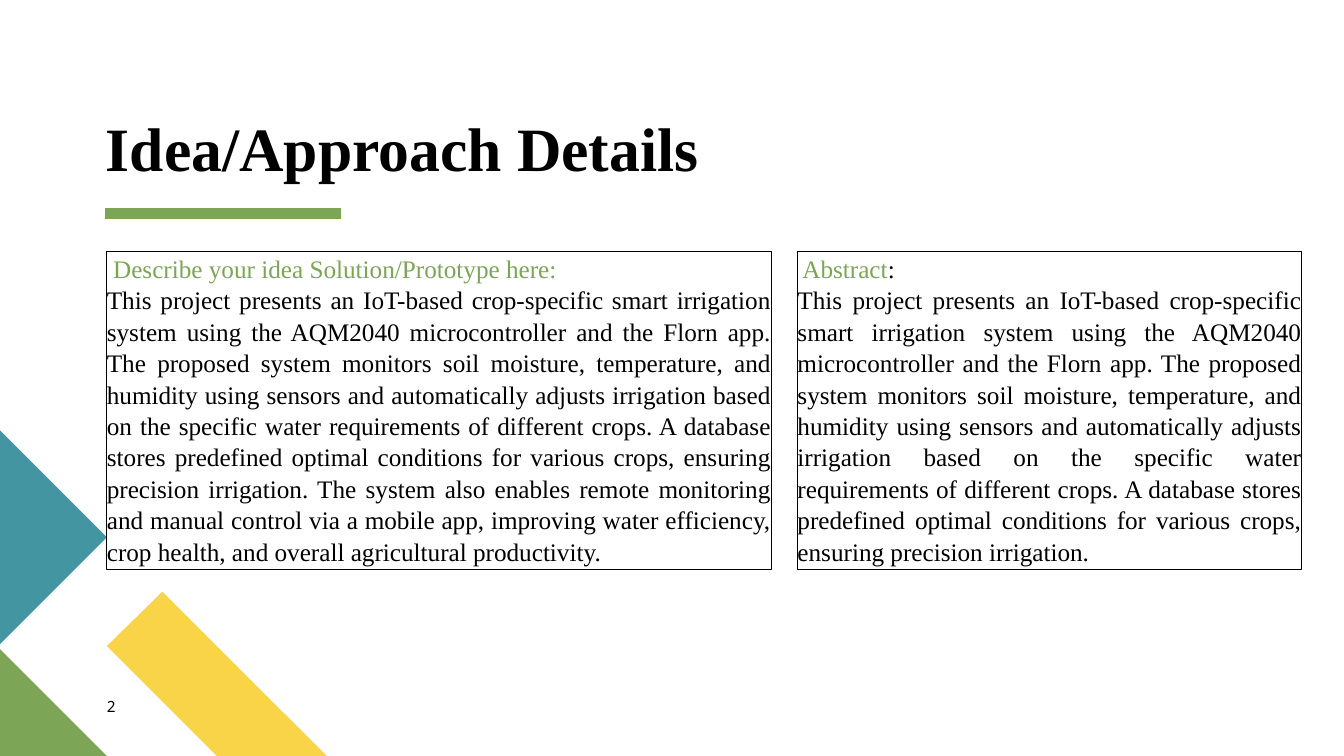
import pptx
import pptx.util
import pptx.dml.color
import pptx.enum.shapes
import pptx.enum.text
import pptx.oxml.ns
import lxml.etree

WIDTH = pptx.util.Inches(13.33)
HEIGHT = pptx.util.Inches(7.5)

GREEN, TEAL, YELLOW, BLACK = "7CA655", "4495A2", "F9D448", "000000"
SERIF = "Times New Roman"
MARGIN = 7.95  # left edge of the content, in percent of the width

SUMMARY = (
    "This project presents an IoT-based crop-specific smart irrigation system using "
    "the AQM2040 microcontroller and the Florn app. The proposed system monitors soil "
    "moisture, temperature, and humidity using sensors and automatically adjusts "
    "irrigation based on the specific water requirements of different crops. A database "
    "stores predefined optimal conditions for various crops, ensuring precision irrigation"
)
REMOTE_CONTROL = (
    ". The system also enables remote monitoring and manual control via a mobile app, "
    "improving water efficiency, crop health, and overall agricultural productivity."
)


def color(hex_string):
    return pptx.dml.color.RGBColor.from_string(hex_string)


# Lengths are percentages of the slide's width and height
def across(percent):
    return round(WIDTH * percent / 100)


def down(percent):
    return round(HEIGHT * percent / 100)


def area(left, top, width, height):
    return across(left), down(top), across(width), down(height)


def add_polygon(slide, points, fill):
    corners = [(across(x), down(y)) for x, y in points]
    builder = slide.shapes.build_freeform(*corners[0], scale=1.0)
    builder.add_line_segments(corners[1:], close=True)
    shape = builder.convert_to_shape()
    shape.shadow.inherit = False
    shape.fill.solid()
    shape.fill.fore_color.rgb = color(fill)
    shape.line.fill.background()


def add_rule(slide, left, right, top, line_color, weight):
    rule = slide.shapes.add_connector(
        pptx.enum.shapes.MSO_CONNECTOR.STRAIGHT,
        across(left), down(top), across(right), down(top))
    rule.line.color.rgb = color(line_color)
    rule.line.width = pptx.util.Pt(weight)
    properties = rule._element.spPr
    lxml.etree.SubElement(properties, pptx.oxml.ns.qn("a:effectLst"))


def prepare_frame(shape, anchor):
    frame = shape.text_frame
    frame.word_wrap = True
    frame.vertical_anchor = anchor
    frame.margin_left = frame.margin_right = 0
    frame.margin_top = frame.margin_bottom = 0
    return frame


def add_run(paragraph, text, size, font_name, font_color, bold=False):
    run = paragraph.add_run()
    run.text = text
    run.font.size = pptx.util.Pt(size)
    run.font.name = font_name
    run.font.bold = bold
    run.font.color.rgb = color(font_color)


def add_label(slide, place, text, size, font_name, bold=False,
              anchor=pptx.enum.text.MSO_ANCHOR.TOP, spacing=1.0):
    box = slide.shapes.add_textbox(*area(*place))
    paragraph = prepare_frame(box, anchor).paragraphs[0]
    paragraph.line_spacing = spacing
    add_run(paragraph, text, size, font_name, BLACK, bold)


def add_panel(slide, left, width, heading_runs, body):
    panel = slide.shapes.add_shape(
        pptx.enum.shapes.MSO_SHAPE.RECTANGLE, *area(left, 33.33, width, 42))
    panel.shadow.inherit = False
    panel.fill.background()
    panel.line.color.rgb = color(BLACK)
    panel.line.width = pptx.util.Pt(0.75)
    frame = prepare_frame(panel, pptx.enum.text.MSO_ANCHOR.TOP)
    heading, description = frame.paragraphs[0], frame.add_paragraph()
    for paragraph, runs in ((heading, heading_runs),
                            (description, [(body, SERIF, BLACK)])):
        paragraph.alignment = pptx.enum.text.PP_ALIGN.JUSTIFY
        paragraph.line_spacing = 1.04
        for text, font_name, font_color in runs:
            add_run(paragraph, text, 18, font_name, font_color)


def main():
    presentation = pptx.Presentation()
    presentation.slide_width, presentation.slide_height = WIDTH, HEIGHT
    slide = presentation.slides.add_slide(presentation.slide_layouts[6])

    # Corner decoration
    add_polygon(slide, [(24.31, 100), (16.13, 100), (MARGIN, 85.47), (12.08, 78.27)], YELLOW)
    add_polygon(slide, [(MARGIN, 100), (0, 100), (0, 85.87)], GREEN)
    add_polygon(slide, [(0, 56.93), (MARGIN, 71.07), (0, 85.2)], TEAL)

    # Title and underline
    add_rule(slide, 7.8, 25.36, 28.27, GREEN, 8)
    add_label(slide, (7.88, 15.47, 45.39, 8.93), "Idea/Approach Details", 44, SERIF,
              bold=True, anchor=pptx.enum.text.MSO_ANCHOR.BOTTOM, spacing=0.9)

    # Text panels
    add_panel(slide, MARGIN, 49.44,
              [(" ", "Roboto", GREEN),
               ("Describe your idea Solution/Prototype here:", SERIF, GREEN)],
              SUMMARY + REMOTE_CONTROL)
    add_panel(slide, 59.34, 37.51,
              [(" Abstract", SERIF, GREEN), (":", SERIF, BLACK)],
              SUMMARY + ".")

    # Slide number
    add_label(slide, (MARGIN, 92.27, 4.28, 3.6), "2", 11, "Noto Sans")

    presentation.save("out.pptx")


if __name__ == "__main__":
    main()
